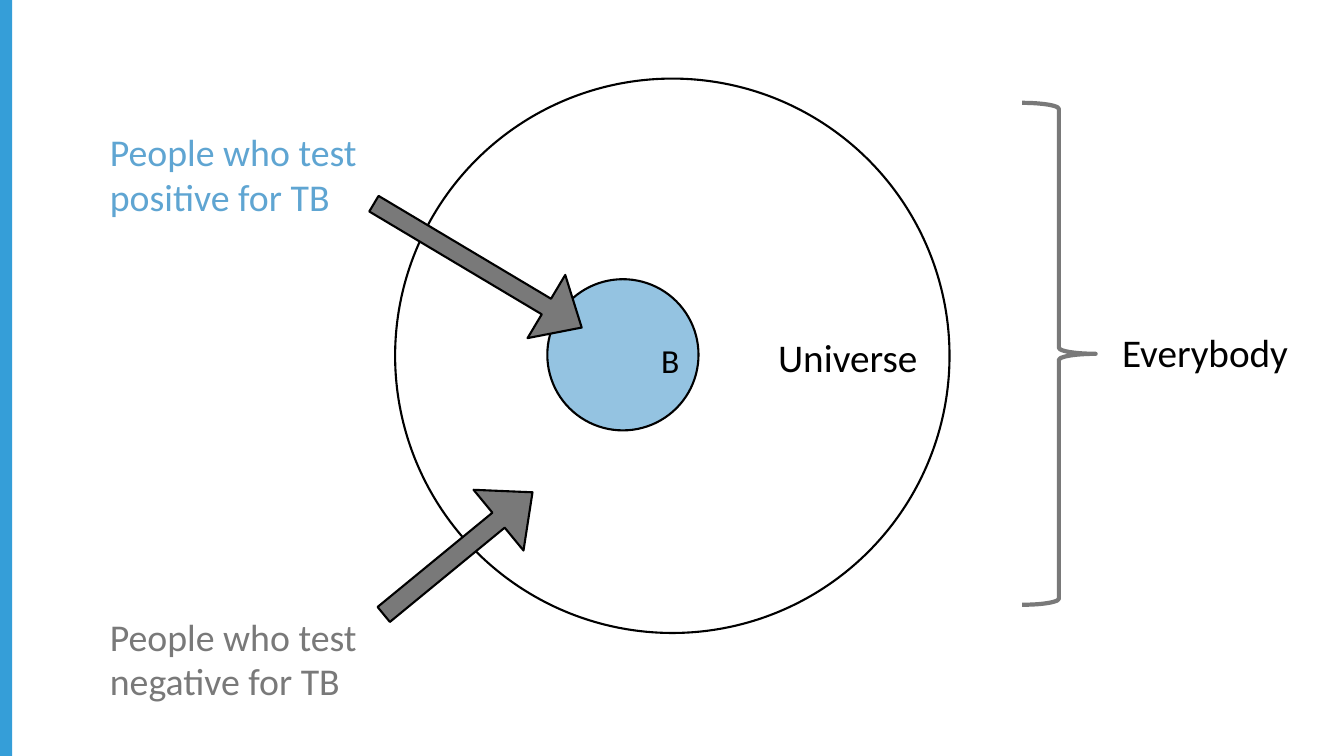
from dataclasses import dataclass

from pptx import Presentation
from pptx import util as u
from pptx.dml.color import RGBColor
from pptx.enum import shapes, text


@dataclass(frozen=True)
class Theme:
    font: str = "Calibri"
    bar: str = "359ED8"
    disc: str = "94C3E1"
    blue: str = "5FA5D2"
    gray: str = "797979"
    ink: str = "000000"
    big: int = 28
    note: int = 27
    small: int = 24
    lead: int = 32
    thin: float = 1.5
    thick: float = 3


T = Theme()
WIDE, HIGH = u.Inches(13.333), u.Inches(7.5)
COLS, ROWS = 40, 30
KIND = shapes.MSO_SHAPE
SIDE = text.PP_ALIGN
HEAD = (0.246, 0.559)

FORMS = [
    (KIND.RECTANGLE, (0, 0, 0.36, 30), T.bar, None, 0, 0, ()),
    (KIND.OVAL, (11.76, 3.12, 16.5, 22), None, T.ink, T.thin, 0, ()),
    (KIND.OVAL, (16.29, 11.08, 4.5, 6), T.disc, T.ink, T.thin, 0, ()),
    (KIND.LEFT_ARROW, (10.62, 9.08, 7.2, 2.92), T.gray, T.ink, T.thin, 210.8, HEAD),
    (KIND.LEFT_ARROW, (10.77, 20.4, 5.73, 3.12), T.gray, T.ink, T.thin, 140.6, HEAD),
    (KIND.RIGHT_BRACE, (30.42, 4.08, 2.19, 19.92), None, T.gray, T.thick, 0, ()),
]

SNUG = (0.01, 0.03, 0, 0)
ROOMY = (0.1, 0.05, 0.1, 0.05)
LABELS = [
    ("Universe", (23.13, 13.2, 5.79, 1.92), T.big, T.ink, SIDE.LEFT, SNUG, T.lead),
    ("B", (17.82, 13.2, 2.4, 1.8), T.small, T.ink, SIDE.RIGHT, SNUG, T.lead),
    ("People who test positive for TB", (3.24, 5, 7.62, 3.72),
     T.note, T.blue, SIDE.LEFT, SNUG, T.lead),
    ("People who test negative for TB", (3.24, 24.24, 7.62, 3.72),
     T.note, T.gray, SIDE.LEFT, SNUG, T.lead),
    ("Everybody", (32.97, 12.84, 5.79, 2.28), T.big, T.ink, SIDE.CENTER, ROOMY, None),
]


def place(cells):
    x, y, w, h = cells
    dx, dy = WIDE / COLS, HIGH / ROWS
    return [round(v) for v in (x * dx, y * dy, w * dx, h * dy)]


def paint(fill, tint):
    if tint:
        fill.solid()
        fill.fore_color.rgb = RGBColor.from_string(tint)
    else:
        fill.background()


def draw(slide, kind, cells, tint, edge, width, turn, bends):
    form = slide.shapes.add_shape(kind, *place(cells))
    form.shadow.inherit = False
    form.rotation = turn
    for i, bend in enumerate(bends):
        form.adjustments[i] = bend
    paint(form.fill, tint)
    paint(form.line.fill, edge)
    if edge:
        form.line.width = u.Pt(width)


def label(slide, words, cells, size, tint, side, pads, lead):
    frame = slide.shapes.add_textbox(*place(cells)).text_frame
    frame.word_wrap = True
    frame.auto_size = text.MSO_AUTO_SIZE.SHAPE_TO_FIT_TEXT
    (frame.margin_left, frame.margin_top,
     frame.margin_right, frame.margin_bottom) = map(u.Inches, pads)
    para = frame.paragraphs[0]
    para.alignment = side
    if lead:
        para.line_spacing = u.Pt(lead)
    run = para.add_run()
    run.text = words
    run.font.name = T.font
    run.font.size = u.Pt(size)
    run.font.color.rgb = RGBColor.from_string(tint)


def main():
    deck = Presentation()
    deck.slide_width, deck.slide_height = WIDE, HIGH
    slide = deck.slides.add_slide(deck.slide_layouts[6])
    for form in FORMS:
        draw(slide, *form)
    for item in LABELS:
        label(slide, *item)
    deck.save("out.pptx")


if __name__ == "__main__":
    main()
